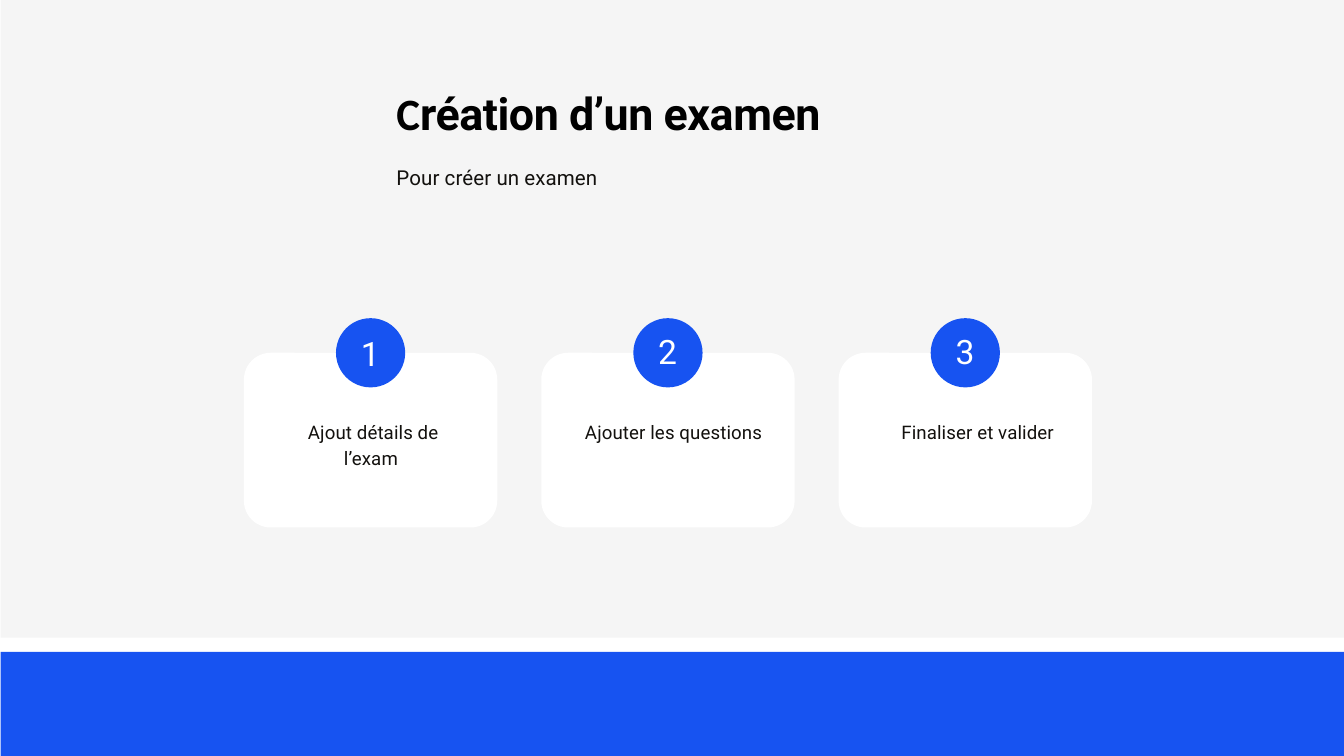
"""Build the slide that presents the three steps of creating an exam."""
from pptx import Presentation
from pptx.dml.color import RGBColor
from pptx.enum.shapes import MSO_SHAPE
from pptx.enum.text import MSO_ANCHOR, PP_ALIGN
from pptx.util import Inches, Pt

BLACK = RGBColor(0x00, 0x00, 0x00)
INK = RGBColor(0x13, 0x11, 0x0E)
WHITE = RGBColor(0xFF, 0xFF, 0xFF)
GREY = RGBColor(0xF5, 0xF5, 0xF5)
BLUE = RGBColor(0x17, 0x53, 0xF1)

presentation = Presentation()
presentation.slide_width = Inches(20)
presentation.slide_height = Inches(11.25)
slide = presentation.slides.add_slide(presentation.slide_layouts[6])
COLUMN = presentation.slide_width / 20
ROW = presentation.slide_height / 11.25


def add_panel(kind, left, top, width, height, color):
    shape = slide.shapes.add_shape(
        kind, round(left * COLUMN), round(top * ROW), round(width * COLUMN), round(height * ROW)
    )
    shape.shadow.inherit = False
    shape.fill.solid()
    shape.fill.fore_color.rgb = color
    shape.line.fill.background()
    return shape


def add_text(left, top, width, height, runs, size, color, tracking,
             bold=False, alignment=PP_ALIGN.LEFT, spacing=1.0, indent=0):
    box = slide.shapes.add_textbox(
        round(left * COLUMN), round(top * ROW), round(width * COLUMN), round(height * ROW)
    )
    frame = box.text_frame
    frame.word_wrap = True
    frame.vertical_anchor = MSO_ANCHOR.TOP
    frame.margin_left = frame.margin_right = frame.margin_bottom = 0
    frame.margin_top = round(0.02 * ROW)
    paragraph = frame.paragraphs[0]
    paragraph.alignment = alignment
    paragraph.line_spacing = spacing
    properties = paragraph._p.get_or_add_pPr()
    properties.set("marL", str(round(0.01 * COLUMN)))
    properties.set("indent", str(round(indent * COLUMN)))
    for text, font_name in runs:
        run = paragraph.add_run()
        run.text = text
        run.font.name = font_name
        run.font.size = Pt(size)
        run.font.bold = bold
        run.font.color.rgb = color
        run._r.get_or_add_rPr().set("spc", str(round(tracking * 100)))


add_panel(MSO_SHAPE.RECTANGLE, 0.01, -0.21, 20, 9.7, GREY)
add_panel(MSO_SHAPE.RECTANGLE, 0.01, 9.7, 19.99, 1.55, BLUE)

add_text(5.89, 1.26, 11.26, 0.82, [("C", "Calibri"), ("réation d’un examen", "Roboto")],
         48, BLACK, -0.5, bold=True)
add_text(5.89, 2.44, 11.78, 0.39, [("Pour créer un examen", "Roboto")], 22, INK, 0.1)

CARD_LEFT, CARD_TOP, CARD_WIDTH, CARD_HEIGHT = 3.63, 5.25, 3.77, 2.6
CARD_PITCH, CARD_RADIUS, BADGE = 4.425, 0.4, 1.03
steps = [
    ("Ajout détails de l’exam", 0.63, 2.51, 0.77, 0.07, 4.94),
    ("Ajouter les questions", 0.35, 3.07, 0.38, 0.16, 4.9),
    ("Finaliser et valider", 0.28, 3.2, 0.38, 0.37, 4.9),
]
for index, (label, offset, width, height, indent, number_top) in enumerate(steps):
    left = CARD_LEFT + index * CARD_PITCH
    badge_left = left + (CARD_WIDTH - BADGE) / 2
    card = add_panel(MSO_SHAPE.ROUNDED_RECTANGLE, left, CARD_TOP, CARD_WIDTH, CARD_HEIGHT, WHITE)
    card.adjustments[0] = CARD_RADIUS / CARD_HEIGHT
    add_panel(MSO_SHAPE.OVAL, badge_left, CARD_TOP - BADGE / 2, BADGE, BADGE, BLUE)
    add_text(left + offset, 6.19, width, height, [(label, "Roboto")], 20, INK, 0.1,
             alignment=PP_ALIGN.CENTER, spacing=1.16, indent=indent)
    add_text(badge_left + 0.36, number_top, 0.31, 0.63, [(str(index + 1), "Roboto")],
             36, WHITE, -0.1)

presentation.save("out.pptx")
